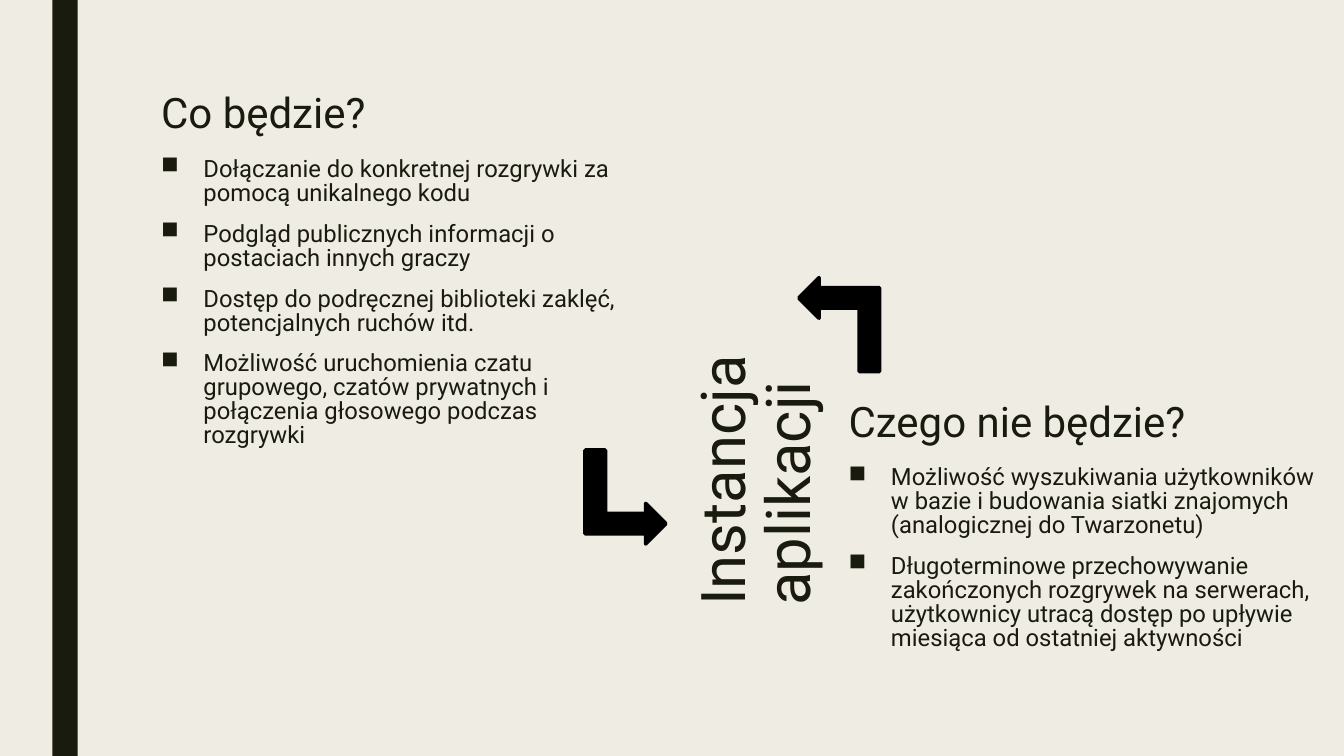
from lxml import etree
from pptx import Presentation
from pptx.dml.color import RGBColor
from pptx.enum.shapes import MSO_SHAPE
from pptx.enum.text import MSO_ANCHOR
from pptx.oxml.ns import qn
from pptx.util import Inches, Pt

BAR, ARROW = MSO_SHAPE.RECTANGLE, MSO_SHAPE.BENT_UP_ARROW
TOP, BOTTOM = MSO_ANCHOR.TOP, MSO_ANCHOR.BOTTOM
CREAM = RGBColor(0xEF, 0xED, 0xE3)
OLIVE = RGBColor(0x19, 0x1B, 0x0E)
BLACK = RGBColor(0, 0, 0)

WIDTH, HEIGHT = Inches(13.33), Inches(7.5)
COLUMN = 36.45  # text width, percent of the slide width
INDENT = Inches(0.42)
TITLE = {"line_spacing": 0.89}
HEADING = {"line_spacing": 0.84}
ITEM = {"line_spacing": 0.84, "space_before": Pt(10), "space_after": Pt(2)}

# Left and top in percent of the slide, heading, list items
SECTIONS = [
    (11.25, 6.8, "Co będzie?", [
        "Dołączanie do konkretnej rozgrywki za pomocą unikalnego kodu",
        "Podgląd publicznych informacji o postaciach innych graczy",
        "Dostęp do podręcznej biblioteki zaklęć, potencjalnych ruchów itd.",
        "Możliwość uruchomienia czatu grupowego, czatów prywatnych i "
        "połączenia głosowego podczas rozgrywki",
    ]),
    (62.4, 47.6, "Czego nie będzie?", [
        "Możliwość wyszukiwania użytkowników w bazie i budowania siatki "
        "znajomych (analogicznej do Twarzonetu)",
        "Długoterminowe przechowywanie zakończonych rozgrywek na serwerach, "
        "użytkownicy utracą dostęp po upływie miesiąca od ostatniej aktywności",
    ]),
]
# Left and top in percent of the slide, rotation
ARROWS = [(58.95, 37.6, 270), (43.05, 60.4, 90)]


def place(left, top, width, height):
    """Turn percentages of the slide into lengths."""
    return [int(share * side / 100) for share, side in
            zip((left, top, width, height), (WIDTH, HEIGHT) * 2)]


def add_bullet(para):
    properties = para._p.get_or_add_pPr()
    properties.set("marL", str(INDENT))
    properties.set("indent", str(-INDENT))
    etree.SubElement(properties, qn("a:buChar")).set("char", "■")


def add_text(page, area, lines, size, layout, anchor=TOP, bullets=False):
    box = page.shapes.add_textbox(*place(*area))
    frame = box.text_frame
    frame.word_wrap = True
    frame.vertical_anchor = anchor
    for number, line in enumerate(lines):
        para = frame.add_paragraph() if number else frame.paragraphs[0]
        for name, value in layout.items():
            setattr(para, name, value)
        if bullets:
            add_bullet(para)
        span = para.add_run()
        span.text = line
        for name, value in {"name": "Roboto", "size": Pt(size)}.items():
            setattr(span.font, name, value)
        span.font.color.rgb = OLIVE
    return box


def add_solid(page, kind, area, color, line_width=0, rotation=0):
    shape = page.shapes.add_shape(kind, *place(*area))
    shape.shadow.inherit = False
    shape.rotation = rotation
    shape.fill.solid()
    shape.fill.fore_color.rgb = color
    if line_width:
        shape.line.color.rgb = color
        shape.line.width = Pt(line_width)
    else:
        shape.line.fill.background()


def add_section(page, left, top, heading, items):
    add_text(page, (left, top, COLUMN, 12), [heading], 30, HEADING, BOTTOM)
    add_text(page, (left, top + 13.47, COLUMN, 37.33), items, 17, ITEM,
             bullets=True)


def main():
    deck = Presentation()
    deck.slide_width, deck.slide_height = WIDTH, HEIGHT
    page = deck.slides.add_slide(deck.slide_layouts[6])
    page.background.fill.solid()
    page.background.fill.fore_color.rgb = CREAM

    # Side bar and upright title
    add_solid(page, BAR, (3.9, 0, 1.88, 100), OLIVE)
    title = add_text(page, (35.78, 44, COLUMN, 10.13),
                     ["Instancja aplikacji"], 44, TITLE)
    title.rotation = 270

    # Headed lists
    for section in SECTIONS:
        add_section(page, *section)

    # Arrows around the title
    for left, top, rotation in ARROWS:
        add_solid(page, ARROW, (left, top, 6.98, 10.67), BLACK, 2.75, rotation)

    deck.save("out.pptx")


main()
